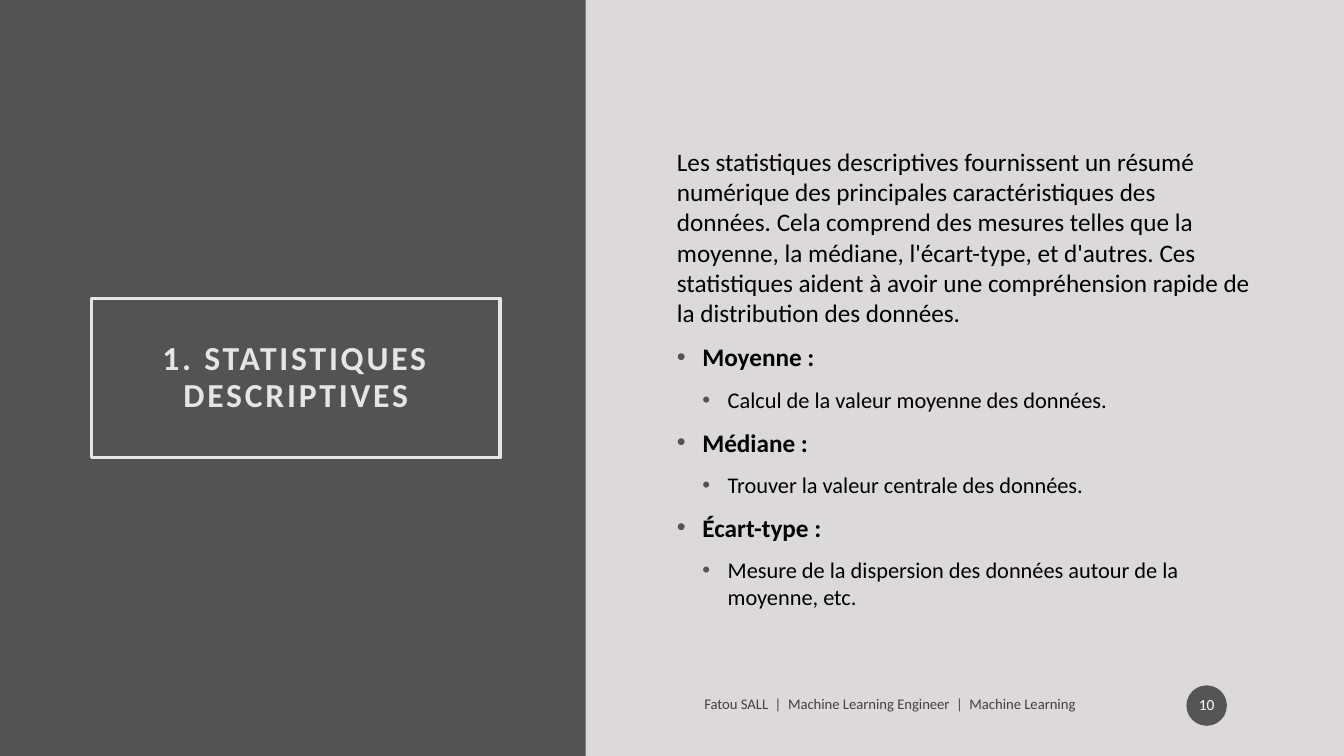
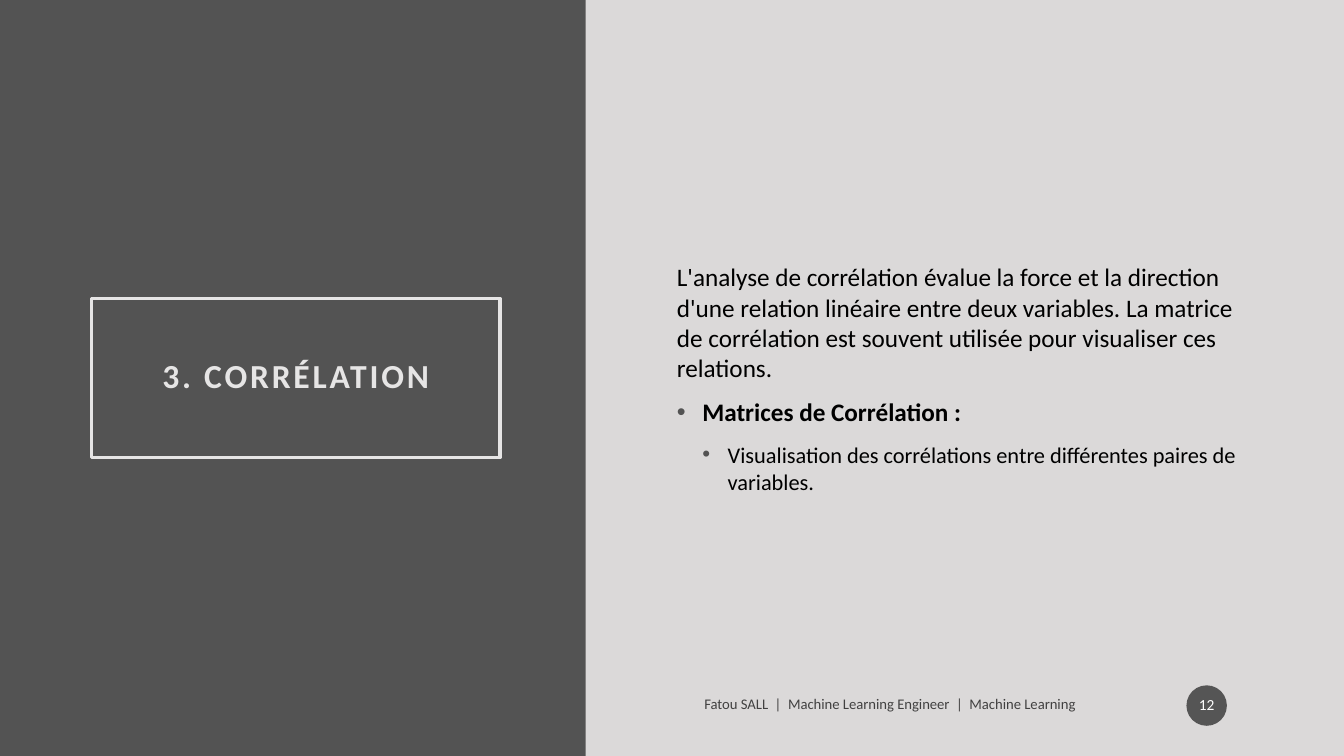
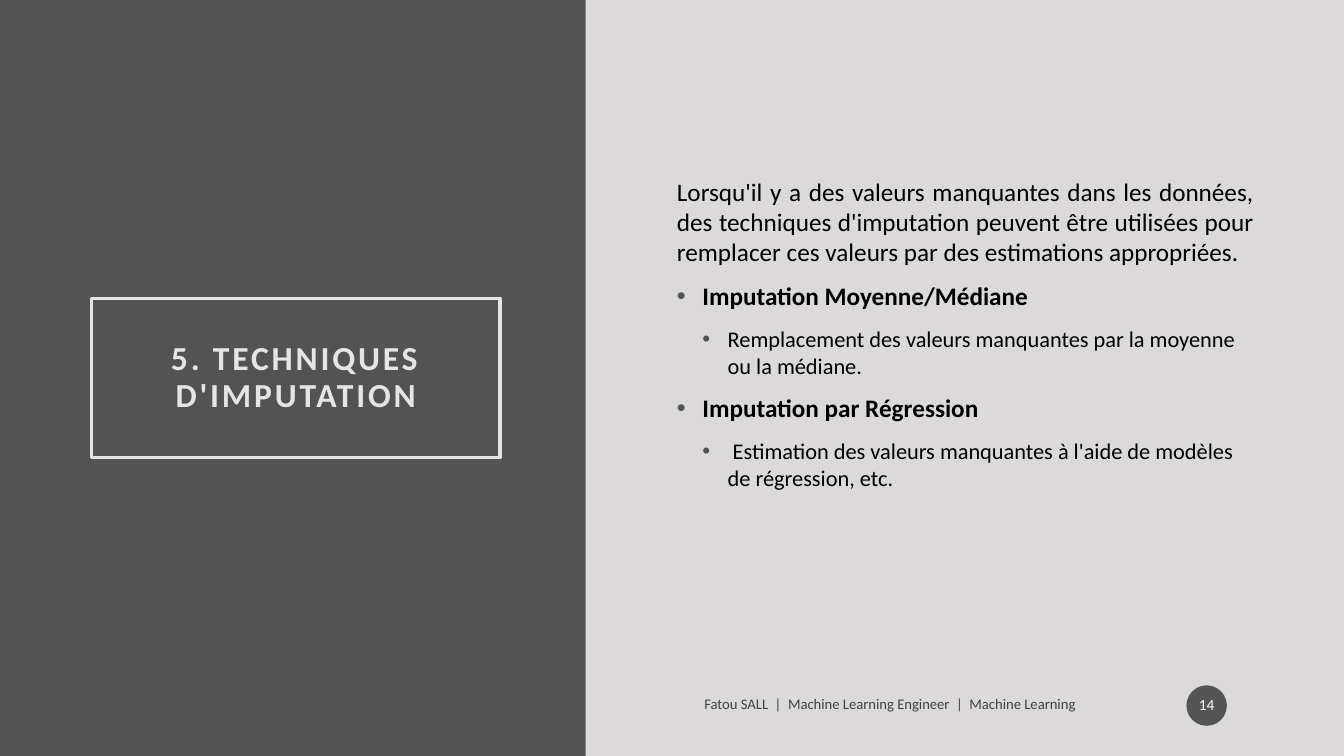
from lxml.etree import SubElement
from pptx import Presentation
from pptx.dml.color import RGBColor
from pptx.enum.shapes import MSO_SHAPE
from pptx.enum.text import MSO_ANCHOR, PP_ALIGN
from pptx.oxml.ns import qn
from pptx.util import Cm, Pt

FONT = "Calibri"
DARK = "535353"
PANEL = "DBD9D9"
PALE = "E6E5E5"
BADGE = "1D1D1D"
BLACK = "000000"
WHITE = "FFFFFF"
FOOTER = "Fatou SALL  |  Machine Learning Engineer  |  Machine Learning"
INDENT = Cm(0.64)

TOPICS = [
    {
        "number": 10,
        "title": "1. STATISTIQUES DESCRIPTIVES",
        "intro": "Les statistiques descriptives fournissent un résumé numérique des "
                 "principales caractéristiques des données. Cela comprend des mesures "
                 "telles que la moyenne, la médiane, l'écart-type, et d'autres. Ces "
                 "statistiques aident à avoir une compréhension rapide de la "
                 "distribution des données.",
        "points": [
            ("Moyenne :", "Calcul de la valeur moyenne des données."),
            ("Médiane :", "Trouver la valeur centrale des données."),
            ("Écart-type :",
             "Mesure de la dispersion des données autour de la moyenne, etc."),
        ],
    },
    {
        "number": 12,
        "title": "3. CORRÉLATION",
        "intro": "L'analyse de corrélation évalue la force et la direction d'une "
                 "relation linéaire entre deux variables. La matrice de corrélation "
                 "est souvent utilisée pour visualiser ces relations.",
        "points": [
            ("Matrices de Corrélation :",
             "Visualisation des corrélations entre différentes paires de variables."),
        ],
    },
    {
        "number": 14,
        "title": "5. TECHNIQUES D'IMPUTATION",
        "intro": "Lorsqu'il y a des valeurs manquantes dans les données, des "
                 "techniques d'imputation peuvent être utilisées pour remplacer ces "
                 "valeurs par des estimations appropriées.",
        "points": [
            ("Imputation Moyenne/Médiane",
             "Remplacement des valeurs manquantes par la moyenne ou la médiane."),
            ("Imputation par Régression",
             " Estimation des valeurs manquantes à l'aide de modèles de "
             "régression, etc."),
        ],
        "align": PP_ALIGN.JUSTIFY,
        "bottom": 2.39,
    },
]


def color(value):
    return RGBColor.from_string(value)


def set_opacity(shape, percent):
    """Apply one opacity to every colour the shape holds so far."""
    for node in shape.element.iter(qn("a:srgbClr")):
        SubElement(node, qn("a:alpha")).set("val", str(percent * 1000))


def add_bullet(paragraph, level):
    paragraph.level = level
    properties = paragraph._p.get_or_add_pPr()
    properties.set("marL", str(INDENT * (level + 1)))
    properties.set("indent", str(-INDENT))
    bullet_color = SubElement(properties, qn("a:buClr"))
    SubElement(bullet_color, qn("a:srgbClr")).set("val", DARK)
    SubElement(properties, qn("a:buFont")).set("typeface", "Arial")
    SubElement(properties, qn("a:buChar")).set("char", "•")


class TopicDeck:
    """Holds the shared style and the slide being built."""

    def __init__(self):
        self.deck = Presentation()
        self.deck.slide_width = Cm(33.87)
        self.deck.slide_height = Cm(19.05)
        self.page = None

    def add_page(self):
        self.page = self.deck.slides.add_slide(self.deck.slide_layouts[6])
        background = self.page.background.fill
        background.solid()
        background.fore_color.rgb = color(DARK)

    def add_shape(self, kind, left, top, width, height, fill=None, line=None):
        shape = self.page.shapes.add_shape(
            kind, Cm(left), Cm(top), Cm(width), Cm(height))
        shape.shadow.inherit = False
        if fill:
            shape.fill.solid()
            shape.fill.fore_color.rgb = color(fill)
        else:
            shape.fill.background()
        if line:
            shape.line.color.rgb = color(line)
            shape.line.width = Pt(2.5)
        else:
            shape.line.fill.background()
        return shape

    def add_text_box(self, left, top, width, height):
        return self.page.shapes.add_textbox(
            Cm(left), Cm(top), Cm(width), Cm(height))

    def prepare_frame(self, shape, sides=0.25, ends=0.13):
        frame = shape.text_frame
        frame.word_wrap = True
        frame.vertical_anchor = MSO_ANCHOR.MIDDLE
        frame.margin_left = frame.margin_right = Cm(sides)
        frame.margin_top = frame.margin_bottom = Cm(ends)
        return frame

    def fill_paragraph(self, paragraph, text, size, ink=BLACK, bold=False,
                       align=PP_ALIGN.LEFT):
        paragraph.add_run().text = text
        paragraph.alignment = align
        font = paragraph.font
        font.name = FONT
        font.size = Pt(size)
        font.bold = bold
        font.color.rgb = color(ink)

    def add_title(self, text):
        box = self.add_shape(MSO_SHAPE.RECTANGLE, 2.31, 7.52, 10.29, 4.01, line=PALE)
        para = self.prepare_frame(box, 0.51, 0.51).paragraphs[0]
        self.fill_paragraph(para, text, 24, PALE, True, PP_ALIGN.CENTER)
        para.line_spacing = 0.9
        para._p.pPr.find(qn("a:defRPr")).set("spc", "200")

    def add_panel(self):
        self.add_shape(MSO_SHAPE.RECTANGLE, 14.76, 0, 19.11, 19.05, fill=PANEL)

    def add_body(self, intro, points, align=PP_ALIGN.LEFT, bottom=0.13):
        frame = self.prepare_frame(self.add_text_box(16.81, 2.24, 15.04, 14.58))
        frame.margin_bottom = Cm(bottom)
        self.fill_paragraph(frame.paragraphs[0], intro, 18, align=align)
        for point in points:
            for level, text in enumerate(point):
                para = frame.add_paragraph()
                add_bullet(para, level)
                para.space_before = Pt(10)
                self.fill_paragraph(para, text, 18 - 2 * level, bold=level == 0)

    def add_footer(self, number):
        box = self.add_text_box(17.5, 17.3, 11.89, 0.86)
        self.fill_paragraph(self.prepare_frame(box).paragraphs[0], FOOTER, 10.5)
        set_opacity(box, 70)

        badge = self.add_shape(MSO_SHAPE.OVAL, 29.9, 17.27, 1.02, 1.02, fill=BADGE)
        set_opacity(badge, 70)
        para = self.prepare_frame(badge, 0.05).paragraphs[0]
        self.fill_paragraph(para, str(number), 11, WHITE, align=PP_ALIGN.CENTER)
        para.line_spacing = 0.9

    def add_topic(self, number, title, **body):
        self.add_page()
        self.add_title(title)
        self.add_panel()
        self.add_body(**body)
        self.add_footer(number)


def main():
    builder = TopicDeck()
    for topic in TOPICS:
        builder.add_topic(**topic)
    builder.deck.save("out.pptx")


if __name__ == "__main__":
    main()
